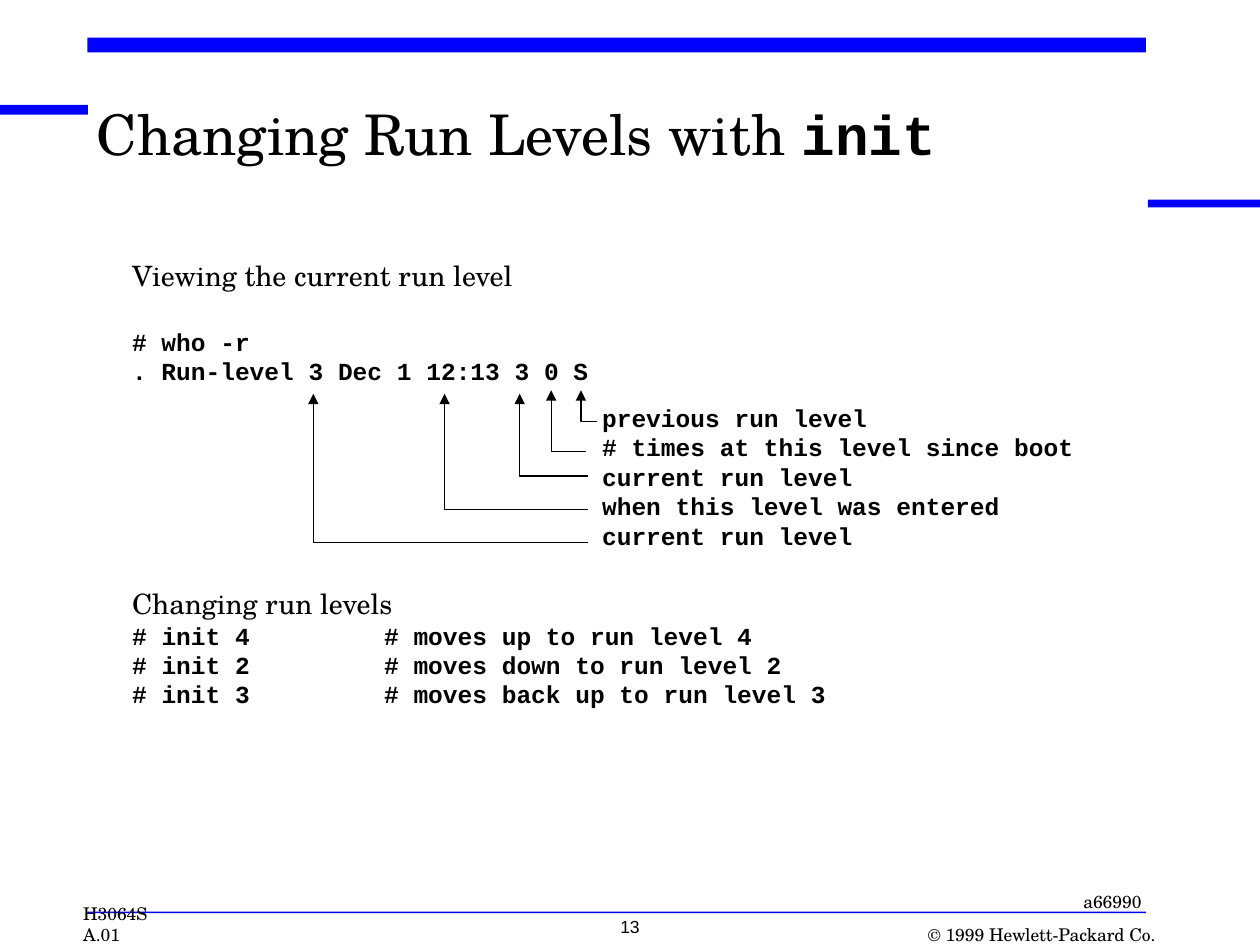
from lxml import etree
from pptx import Presentation
from pptx.dml.color import RGBColor
from pptx.enum.shapes import MSO_SHAPE
from pptx.enum.text import MSO_ANCHOR, MSO_AUTO_SIZE, PP_ALIGN
from pptx.oxml.ns import qn
from pptx.util import Pt

RECT = MSO_SHAPE.RECTANGLE
TOP, BOTTOM = MSO_ANCHOR.TOP, MSO_ANCHOR.BOTTOM
LEFT, MID, RIGHT = PP_ALIGN.LEFT, PP_ALIGN.CENTER, PP_ALIGN.RIGHT
FIXED = MSO_AUTO_SIZE.NONE
SERIF, CODE, SANS = "TeX Gyre Schola", "Courier New", "Arial"
BLUE, BLACK = "0000FF", "000000"
INSET = (7.2, 3.6)


def color(code):
    """Turn a hex string into a colour."""
    return RGBColor.from_string(code)


def place(shape, box):
    """Move a shape to a box given in points."""
    shape.left, shape.top, shape.width, shape.height = map(Pt, box)


def setup(frame, inset, anchor, wrap):
    """Set the margins and flow of a text frame."""
    frame.margin_left = frame.margin_right = Pt(inset[0])
    frame.margin_top = frame.margin_bottom = Pt(inset[1])
    frame.vertical_anchor = anchor
    frame.auto_size = FIXED
    frame.word_wrap = wrap


def add_run(para, text, size, face, bold=False):
    """Add one formatted run."""
    run = para.add_run()
    run.text = text
    font = run.font
    font.size, font.name, font.bold = Pt(size), face, bold
    font.color.rgb = color(BLACK)


def add_tabs(para, stops):
    """Set left tab stops, in points."""
    tabs = etree.SubElement(para._p.get_or_add_pPr(), qn("a:tabLst"))
    for stop in stops:
        etree.SubElement(tabs, qn("a:tab"), pos=str(Pt(stop)), algn="l")


def add_text(slide, box, lines, inset=INSET, anchor=TOP, align=LEFT,
             wrap=False, stops=()):
    """Add a text box with one run to a line."""
    shape = slide.shapes.add_textbox(*map(Pt, box))
    frame = shape.text_frame
    setup(frame, inset, anchor, wrap)
    for i, line in enumerate(lines):
        para = frame.add_paragraph() if i else frame.paragraphs[0]
        para.alignment = align
        if stops:
            add_tabs(para, stops)
        add_run(para, *line)
    return frame


def code(lines):
    """Give each line the code style."""
    return [(line, 14, CODE, True) for line in lines]


def add_bars(slide, boxes):
    """Draw the blue bars of the page."""
    for box in boxes:
        bar = slide.shapes.add_shape(RECT, *map(Pt, box))
        bar.shadow.inherit = False
        bar.fill.solid()
        bar.fill.fore_color.rgb = color(BLUE)
        bar.line.fill.background()


def add_title(slide, box):
    """Fill the title placeholder."""
    title = slide.shapes.title
    place(title, box)
    frame = title.text_frame
    setup(frame, (0, 0), TOP, True)
    para = frame.paragraphs[0]
    para.alignment, para.line_spacing = LEFT, 0.85
    add_run(para, "Changing Run Levels with ", 32, SERIF)
    add_run(para, "init", 32, CODE, True)


def add_view(slide, box):
    """Show the command that prints the run level."""
    frame = add_text(slide, box, [
        ("Viewing the current run level", 16, SERIF),
        *code(["# who -r", ". Run-level 3 Dec 1 12:13 3 0 S"])])
    frame.paragraphs[1].space_before = Pt(20)


def add_arrow(slide, tip, end):
    """Draw an elbow from an arrow tip down and across to its label."""
    (x, y), (right, low) = tip, end
    pen = slide.shapes.build_freeform(x, y, scale=Pt(1))
    pen.add_line_segments([(x, low), (right, low)], close=False)
    elbow = pen.convert_to_shape()
    elbow.shadow.inherit = False
    elbow.fill.background()
    elbow.line.color.rgb = color(BLACK)
    elbow.line.width = Pt(0.75)
    etree.SubElement(elbow.line._get_or_add_ln(), qn("a:headEnd"),
                     type="triangle")


def add_labels(slide, box):
    """Name the fields of the output and point to them."""
    add_text(slide, box, code([
        "previous run level", "# times at this level since boot",
        "current run level", "when this level was entered",
        "current run level"]))
    left, top = box[:2]
    for x, y, gap, low in [(-158.4, -1.5, 0.7, 83.6), (-83.5, -1.5, 0.7, 64.3),
                           (-39.9, -1.5, 0.7, 44.8), (-21.8, -3.5, 2.2, 31.2),
                           (-5.3, -3.5, -3.6, 14.5)]:
        add_arrow(slide, (left + x, top + y), (left - gap, top + low))


def add_change(slide, box):
    """List the commands that change the run level."""
    add_text(slide, box, [
        ("Changing run levels", 16, SERIF),
        *code(["# init 4\t\t# moves up to run level 4",
               "# init 2\t\t# moves down to run level 2",
               "# init 3\t\t# moves back up to run level 3"])],
        stops=(72, 144))


def add_footer(slide, box):
    """Add the course code, page number, figure code and copyright."""
    left, top, width, height = box
    base = top + height - 12.24
    add_text(slide, (left, base, 59, 12.24), [("H3064S A.01", 10, SERIF)],
             (0, 0), BOTTOM, wrap=True)
    add_text(slide, (left + width - 131, base, 131, 12.24),
             [("© 1999 Hewlett-Packard Co.", 10, SERIF)],
             (0, 0), BOTTOM, RIGHT)
    add_text(slide, (left + width - 48.2, top, 48.2, 19.4),
             [("a66990", 10, SERIF)])
    add_text(slide, (285, top + 14.4, 150, 23.8), [("13", 10, SANS)],
             align=MID, wrap=True)


def main():
    """Build the slide and save it."""
    deck = Presentation()
    deck.slide_width, deck.slide_height = Pt(720), Pt(540)
    slide = deck.slides.add_slide(deck.slide_layouts[5])
    add_bars(slide, [(0, 60, 50.2, 5.5), (50, 21.5, 604.8, 8.5),
                     (656, 114, 64, 4.5), (50, 521, 604.8, 0.8)])
    add_title(slide, (55.4, 62.6, 581, 48.2))
    add_view(slide, (68.4, 144, 275.8, 79.2))
    add_labels(slide, (337, 226.8, 283.7, 91.4))
    add_change(slide, (68.4, 331.9, 411.1, 77))
    add_footer(slide, (47.5, 505.4, 612.7, 34.6))
    deck.save("out.pptx")


if __name__ == "__main__":
    main()
